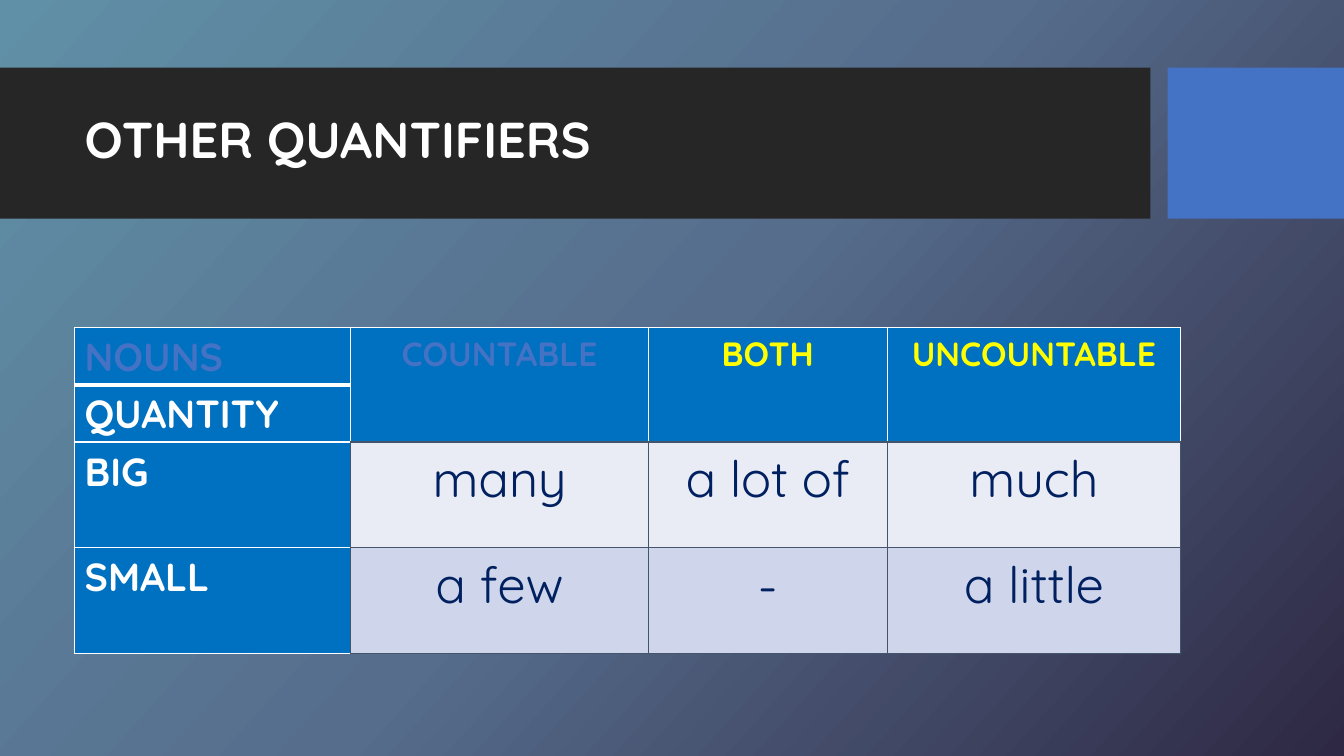
from copy import deepcopy
from dataclasses import dataclass

from lxml import etree
from pptx import Presentation
from pptx.dml.color import RGBColor
from pptx.enum.shapes import MSO_SHAPE
from pptx.enum.text import MSO_ANCHOR, PP_ALIGN
from pptx.oxml.ns import qn
from pptx.util import Inches, Pt

RECT = MSO_SHAPE.RECTANGLE
MIDDLE = MSO_ANCHOR.MIDDLE
LEFT, CENTER = PP_ALIGN.LEFT, PP_ALIGN.CENTER


@dataclass(frozen=True)
class Theme:
    font: str = "Quicksand"
    back: tuple = ("6090A7", "566D8C", "2E2844")
    angle: int = 318
    band: str = "262626"
    accent: str = "4472C4"
    head: str = "0070C0"
    rows: tuple = ("E9EBF5", "CFD5EA")
    white: str = "FFFFFF"
    yellow: str = "FFFF00"
    navy: str = "002060"
    rule: str = "44546A"
    big: int = 36
    label: int = 28
    small: int = 24


THEME = Theme()
WIDTH, HEIGHT = 13.33, 7.5
COLS = (2.74, 2.95, 2.37, 2.91)
ROWS = (0.53, 0.53, 1.05, 1.05)
WORDS = (
    ("NOUNS", "COUNTABLE", "BOTH", "UNCOUNTABLE"),
    ("QUANTITY", "", "", ""),
    ("BIG", "many", "a lot of", "much"),
    ("SMALL", "a few", "-", "a little"),
)


def color(code):
    return RGBColor.from_string(code)


def write(frame, text, size, code, bold, align=LEFT):
    frame.text = text
    para = frame.paragraphs[0]
    para.alignment = align
    font = para.font
    for run in para.runs:
        font = run.font
    font.name, font.size, font.bold = THEME.font, Pt(size), bold
    font.color.rgb = color(code)
    return para


def paint(slide):
    fill = slide.background.fill
    fill.gradient()
    fill.gradient_angle = THEME.angle
    stops = slide.element.find(".//" + qn("a:gsLst"))
    stops.append(deepcopy(stops[-1]))
    for i, (stop, code) in enumerate(zip(fill.gradient_stops, THEME.back)):
        stop.position = i / 2
        stop.color.rgb = color(code)


def block(slide, left, top, width, height, code):
    shape = slide.shapes.add_shape(
        RECT, Inches(left), Inches(top), Inches(width), Inches(height))
    shape.shadow.inherit = False
    shape.fill.solid()
    shape.fill.fore_color.rgb = color(code)
    shape.line.fill.background()


def banner(slide, left, top, width, height):
    tile, gap = 1.75, 0.17
    bar = width - tile - gap
    block(slide, left, top, bar, height, THEME.band)
    block(slide, left + bar + gap, top, tile, height, THEME.accent)
    box = slide.shapes.add_textbox(
        Inches(left + 0.74), Inches(top + 0.15), Inches(bar - 0.9), Inches(1.18))
    frame = box.text_frame
    frame.word_wrap = True
    frame.vertical_anchor = MIDDLE
    para = write(frame, "OTHER QUANTIFIERS", THEME.big, THEME.white, True)
    para.line_spacing = 0.9


def edges(cell, row, col):
    head = row < 2 or col == 0
    sides = dict.fromkeys("LRTB", (THEME.white if head else THEME.rule, 1))
    if row < 2 and col:
        sides["B"] = (THEME.rule, 1)
    if row > 1 and col == 0:
        sides["R"] = (THEME.rule, 1)
    if row == col == 0:
        sides["B"] = (THEME.white, 3)
    props = cell._tc.get_or_add_tcPr()
    for side, (code, width) in sides.items():
        line = etree.SubElement(props, qn("a:ln" + side), w=str(Pt(width)))
        fill = etree.SubElement(line, qn("a:solidFill"))
        etree.SubElement(fill, qn("a:srgbClr"), val=code)


def style(row, col):
    if row < 2 and col:
        return THEME.small, THEME.accent if col == 1 else THEME.yellow, True, CENTER
    if col == 0:
        return THEME.label, THEME.white if row else THEME.accent, True, LEFT
    return THEME.big, THEME.navy, False, CENTER


def chart(slide, left, top):
    table = slide.shapes.add_table(
        len(ROWS), len(COLS), Inches(left), Inches(top),
        Inches(sum(COLS)), Inches(sum(ROWS))).table
    table.first_row = table.horz_banding = False
    for part, size in zip(table.columns, COLS):
        part.width = Inches(size)
    for part, size in zip(table.rows, ROWS):
        part.height = Inches(size)
    for row, words in enumerate(WORDS):
        for col, word in enumerate(words):
            cell = table.cell(row, col)
            edges(cell, row, col)
            cell.fill.solid()
            code = THEME.head if row < 2 or col == 0 else THEME.rows[row - 2]
            cell.fill.fore_color.rgb = color(code)
            write(cell.text_frame, word, *style(row, col))
    for col in range(1, len(COLS)):
        table.cell(0, col).merge(table.cell(1, col))


def main():
    deck = Presentation()
    deck.slide_width, deck.slide_height = Inches(WIDTH), Inches(HEIGHT)
    slide = deck.slides.add_slide(deck.slide_layouts[6])
    paint(slide)
    banner(slide, 0, 0.67, WIDTH, 1.5)
    chart(slide, 0.74, 3.25)
    deck.save("out.pptx")


if __name__ == "__main__":
    main()
